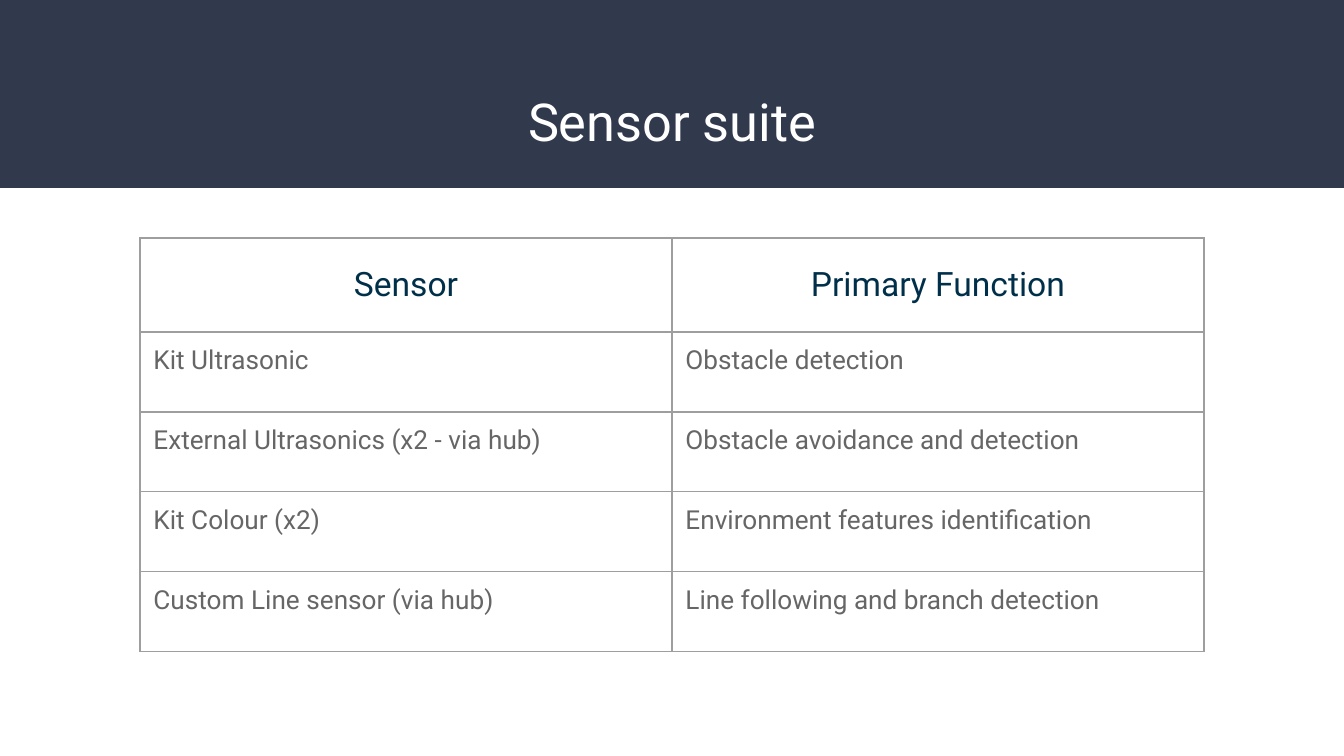
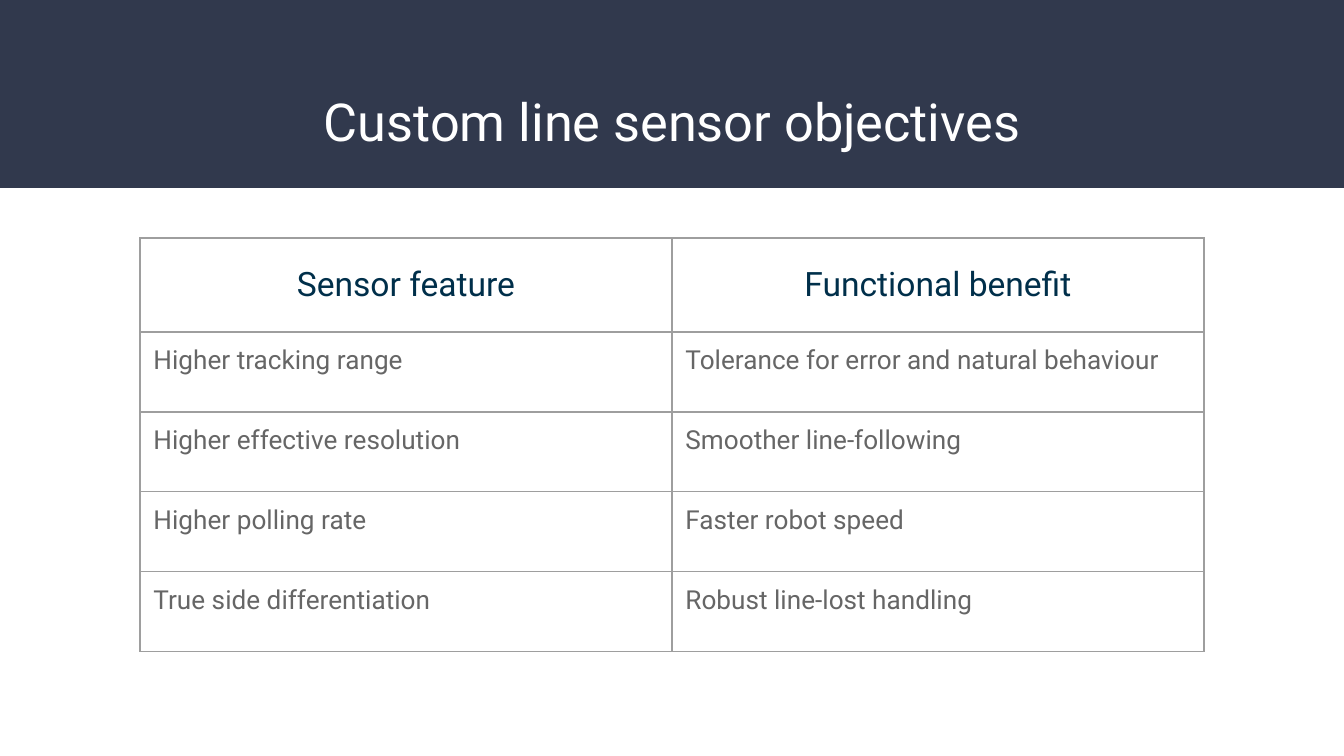
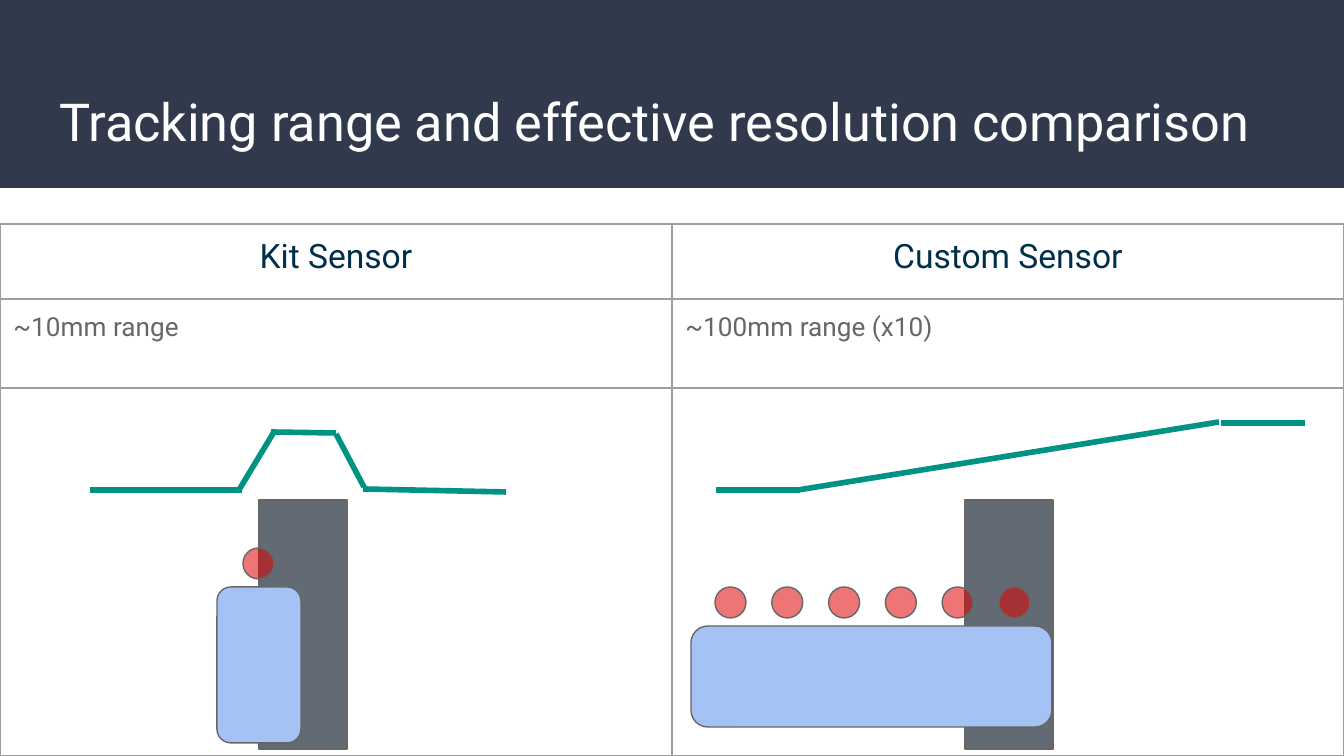
from lxml import etree
from pptx import Presentation
from pptx import util as u
from pptx.dml.color import RGBColor
from pptx.enum import shapes, text
from pptx.oxml import ns

PX = 914400 / 134.4
WIDTH, HEIGHT = 1344, 756
FONT = "Roboto"
MARGIN = u.Inches(0.1)

WHITE = RGBColor(0xFF, 0xFF, 0xFF)
NAVY = RGBColor(0x31, 0x39, 0x4D)
HEADING = RGBColor(0x00, 0x2F, 0x4A)
GREY = RGBColor(0x66, 0x66, 0x66)
BORDER = RGBColor(0x9E, 0x9E, 0x9E)
TRACK = RGBColor(0x62, 0x6B, 0x73)
BODY = RGBColor(0xA4, 0xC2, 0xF4)
EMITTER = RGBColor(0xE0, 0x00, 0x00)
SIGNAL = RGBColor(0x00, 0x93, 0x84)

LEFT, CENTER = text.PP_ALIGN.LEFT, text.PP_ALIGN.CENTER
TOP, MIDDLE = text.MSO_ANCHOR.TOP, text.MSO_ANCHOR.MIDDLE
WIDE_TABLE = {"left": 0, "top": 224, "column": 672, "rows": [75, 89, 368], "anchor": TOP}
INSET_TABLE = {"left": 140, "top": 238, "column": 532, "rows": [94, 80, 80, 80, 80], "anchor": MIDDLE}

SLIDES = [
    {
        "title": "Sensor suite",
        "align": CENTER,
        "layout": INSET_TABLE,
        "cells": [
            ("Sensor", "Primary Function"),
            ("Kit Ultrasonic", "Obstacle detection"),
            ("External Ultrasonics (x2 - via hub)", "Obstacle avoidance and detection"),
            ("Kit Colour (x2)", "Environment features identification"),
            ("Custom Line sensor (via hub)", "Line following and branch detection"),
        ],
    },
    {
        "title": "Custom line sensor objectives",
        "align": CENTER,
        "layout": INSET_TABLE,
        "cells": [
            ("Sensor feature", "Functional benefit"),
            ("Higher tracking range", "Tolerance for error and natural behaviour"),
            ("Higher effective resolution", "Smoother line-following"),
            ("Higher polling rate", "Faster robot speed"),
            ("True side differentiation", "Robust line-lost handling"),
        ],
    },
    {
        "title": "Tracking range and effective resolution comparison",
        "align": LEFT,
        "layout": WIDE_TABLE,
        "cells": [
            ("Kit Sensor", "Custom Sensor"),
            ("~10mm range", "~100mm range (x10)"),
            ("", ""),
        ],
        "sensors": [
            {
                "track": 259,
                "body": (217, 587, 84, 156),
                "emitters": {"left": 243, "top": 548, "count": 1},
                "signal": [
                    (90, 490, 242, 490),
                    (239, 490, 274, 432),
                    (271, 432, 336, 433),
                    (336, 434, 364, 487),
                    (363, 489, 506, 492),
                ],
            },
            {
                "track": 965,
                "body": (691, 626, 361, 101),
                "emitters": {"left": 715, "top": 587, "count": 6},
                "signal": [
                    (716, 490, 800, 490),
                    (798, 490, 1219, 422),
                    (1221, 423, 1305, 423),
                ],
            },
        ],
    },
]

TRACK_TOP, TRACK_WIDTH, TRACK_HEIGHT = 500, 88, 249
EMITTER_SIZE, EMITTER_PITCH = 31, 56.8


def px(*lengths):
    return [u.Emu(round(length * PX)) for length in lengths]


def format_text(text_frame, align, size, color):
    paragraph = text_frame.paragraphs[0]
    paragraph.alignment = align
    for run in paragraph.runs:
        run.font.name = FONT
        run.font.size = u.Pt(size)
        run.font.color.rgb = color


def add_shape(slide, kind, box, fill, line=None):
    shape = slide.shapes.add_shape(kind, *px(*box))
    shape.shadow.inherit = False
    shape.fill.solid()
    shape.fill.fore_color.rgb = fill
    if line is None:
        shape.line.fill.background()
    else:
        shape.line.color.rgb = line
        shape.line.width = u.Pt(0.75)
    return shape


def add_header(slide, title, align):
    add_shape(slide, shapes.MSO_SHAPE.RECTANGLE, (0, 0, WIDTH, 188), NAVY)
    text_frame = slide.shapes.add_textbox(*px(46, 74, 1252, 91)).text_frame
    text_frame.word_wrap = True
    text_frame.vertical_anchor = text.MSO_ANCHOR.BOTTOM
    text_frame.margin_left = text_frame.margin_right = MARGIN
    text_frame.margin_top = text_frame.margin_bottom = MARGIN
    text_frame.text = title
    format_text(text_frame, align, 28, WHITE)


def add_borders(cell):
    properties = cell._tc.get_or_add_tcPr()
    for side in ("lnL", "lnR", "lnT", "lnB"):
        line = etree.SubElement(properties, ns.qn(f"a:{side}"), w=str(u.Pt(0.75)))
        fill = etree.SubElement(line, ns.qn("a:solidFill"))
        etree.SubElement(fill, ns.qn("a:srgbClr"), val=str(BORDER))


def add_table(slide, layout, cells):
    rows, columns = layout["rows"], len(cells[0])
    box = px(layout["left"], layout["top"], layout["column"] * columns, sum(rows))
    table = slide.shapes.add_table(len(rows), columns, *box).table
    table.first_row = table.horz_banding = False
    for row, height in zip(table.rows, rows):
        row.height = px(height)[0]
    for row_index, values in enumerate(cells):
        for column_index, value in enumerate(values):
            cell = table.cell(row_index, column_index)
            add_borders(cell)
            cell.fill.background()
            cell.margin_left = cell.margin_right = MARGIN
            cell.margin_top = cell.margin_bottom = MARGIN
            cell.text_frame.text = value
            if row_index == 0:
                cell.vertical_anchor = layout["anchor"]
                format_text(cell.text_frame, CENTER, 18, HEADING)
            else:
                cell.vertical_anchor = TOP
                format_text(cell.text_frame, LEFT, 14, GREY)


def add_emitters(slide, left, top, count):
    for index in range(count):
        box = (left + index * EMITTER_PITCH, top, EMITTER_SIZE, EMITTER_SIZE)
        emitter = add_shape(slide, shapes.MSO_SHAPE.OVAL, box, EMITTER, GREY)
        color = emitter._element.spPr.find(ns.qn("a:solidFill"))[0]
        etree.SubElement(color, ns.qn("a:alpha"), val="54000")


def add_signal(slide, segments):
    for segment in segments:
        connector = slide.shapes.add_connector(shapes.MSO_CONNECTOR.STRAIGHT, *px(*segment))
        connector.line.color.rgb = SIGNAL
        connector.line.width = u.Pt(3)
        etree.SubElement(connector._element.spPr, ns.qn("a:effectLst"))


def add_sensor(slide, sensor):
    track = (sensor["track"], TRACK_TOP, TRACK_WIDTH, TRACK_HEIGHT)
    add_shape(slide, shapes.MSO_SHAPE.RECTANGLE, track, TRACK, GREY)
    add_shape(slide, shapes.MSO_SHAPE.ROUNDED_RECTANGLE, sensor["body"], BODY, GREY)
    add_signal(slide, sensor["signal"])
    add_emitters(slide, **sensor["emitters"])


def main():
    presentation = Presentation()
    presentation.slide_width, presentation.slide_height = px(WIDTH, HEIGHT)
    for content in SLIDES:
        slide = presentation.slides.add_slide(presentation.slide_layouts[6])
        add_header(slide, content["title"], content["align"])
        add_table(slide, content["layout"], content["cells"])
        for sensor in content.get("sensors", []):
            add_sensor(slide, sensor)
    presentation.save("out.pptx")


if __name__ == "__main__":
    main()
